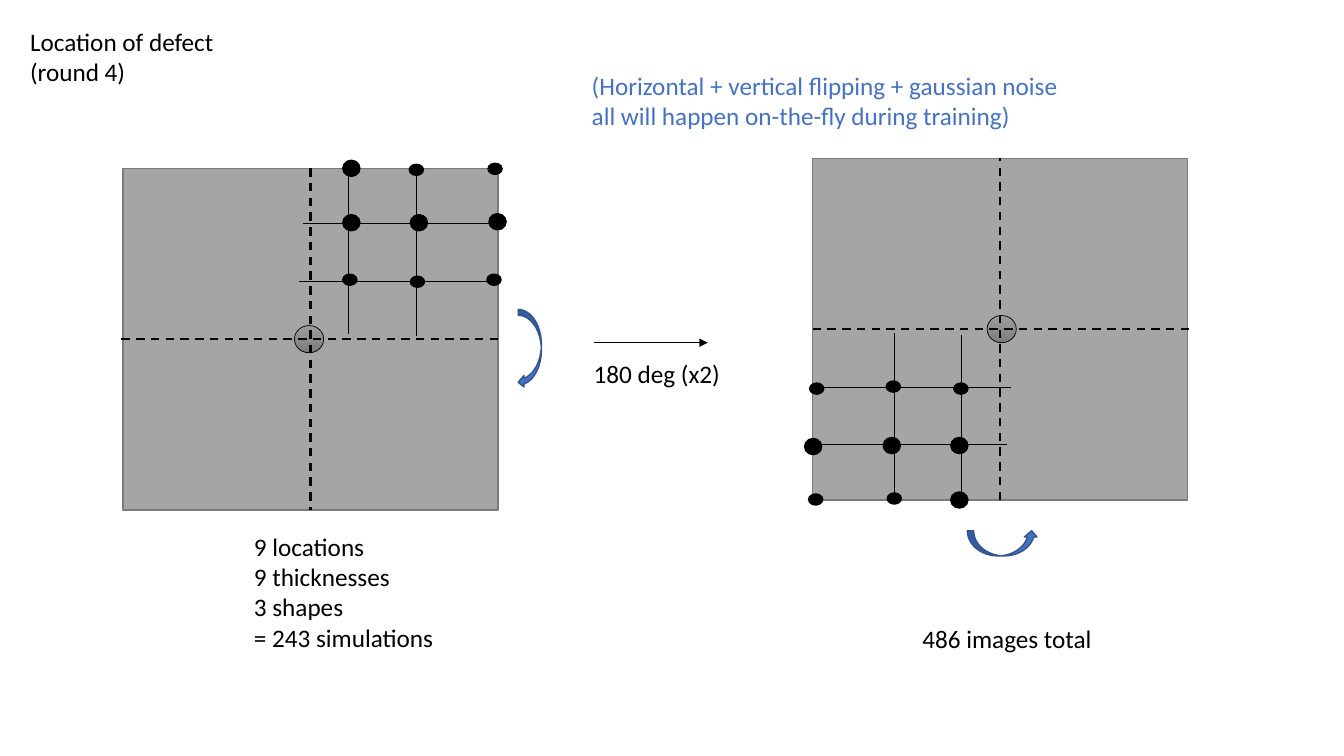
from lxml.etree import SubElement
from pptx import Presentation
from pptx.dml.color import RGBColor
from pptx.enum.dml import MSO_LINE
from pptx.enum.shapes import MSO_CONNECTOR, MSO_SHAPE
from pptx.enum.text import MSO_AUTO_SIZE
from pptx.oxml.ns import qn
from pptx.util import Inches, Pt

BLACK, BLUE = "000000", "4472C4"
WIDE, HIGH = 3.72, 3.39  # plate size

# Offsets from the plate's top left corner
GRID = [
    (1.79, 0.55, 3.68, 0.55), (1.75, 1.12, 3.64, 1.12),
    (2.24, -0.05, 2.24, 1.64), (2.91, -0.03, 2.91, 1.66),
]
LARGE = [(2.18, -0.08), (3.63, 0.45), (2.85, 0.46), (2.18, 0.46)]
SMALL = [(3.61, 1.05), (2.84, -0.04), (2.18, 1.05), (2.85, 1.07), (3.62, -0.05)]


def color(code):
    return RGBColor.from_string(code)


def add_form(shapes, kind, box, fill, edge, width=1):
    form = shapes.add_shape(kind, *map(Inches, box))
    form.shadow.inherit = False
    form.fill.solid()
    form.fill.fore_color.rgb = color(fill)
    form.line.color.rgb = color(edge)
    form.line.width = Pt(width)
    return form


def add_line(shapes, ends, width=0.5, dash=None):
    line = shapes.add_connector(MSO_CONNECTOR.STRAIGHT, *map(Inches, ends))
    line.line.color.rgb = color(BLACK)
    line.line.width = Pt(width)
    if dash:
        line.line.dash_style = dash
    SubElement(line._element.spPr, qn("a:effectLst"))
    return line


def add_text(slide, box, lines, ink=BLACK):
    text = slide.shapes.add_textbox(*map(Inches, box))
    frame = text.text_frame
    frame.word_wrap = True
    frame.auto_size = MSO_AUTO_SIZE.SHAPE_TO_FIT_TEXT
    frame.text = "\n".join(lines)
    for para in frame.paragraphs:
        para.font.name = "Calibri"
        para.font.size = Pt(18)
        para.font.color.rgb = color(ink)


def add_plate(slide, left, top, turned=False):
    group = slide.shapes.add_group_shape()
    shapes = group.shapes

    # Plate and its round centre
    plate = add_form(shapes, MSO_SHAPE.RECTANGLE, (left, top, WIDE, HIGH),
                     "A5A5A5", "7A7A7A")
    ball = add_form(shapes, MSO_SHAPE.OVAL, (left + 1.7, top + 1.56, 0.29, 0.27),
                    "909090", BLACK, 0.5)
    ball.fill.gradient()
    ball.fill.gradient_angle = 270
    for stop, code in zip(ball.fill.gradient_stops, ("9D9D9D", "7C7C7C")):
        stop.color.rgb = color(code)

    # Dashed axes
    mid_x, mid_y = left + WIDE / 2, top + HIGH / 2
    axis = add_line(shapes, (mid_x, top, mid_x, top + HIGH), 1.5, MSO_LINE.DASH)
    axis.begin_connect(plate, 0)
    axis.end_connect(plate, 2)
    axis = add_line(shapes, (left + WIDE, mid_y, left - 0.06, mid_y),
                    1.5, MSO_LINE.DASH)
    axis.begin_connect(plate, 3)

    # Grid and defect spots
    for x1, y1, x2, y2 in GRID:
        add_line(shapes, (left + x1, top + y1, left + x2, top + y2))
    for spots, size in ((LARGE, (0.17, 0.16)), (SMALL, (0.14, 0.11))):
        for x, y in spots:
            add_form(shapes, MSO_SHAPE.OVAL, (left + x, top + y, *size), BLACK, BLACK)

    # Half turn about the middle of the plate
    if turned:
        group.left = Inches(2 * left + WIDE) - group.left - group.width
        group.top = Inches(2 * top + HIGH) - group.top - group.height
        group.rotation = 180


def add_notes(slide):
    add_text(slide, (0.2, 0.21, 2.43, 0.71), ["Location of defect (round 4)"])
    add_text(slide, (2.42, 5.22, 2.07, 1.31),
             ["9 locations", "9 thicknesses", "3 shapes", "= 243 simulations"])
    add_text(slide, (5.79, 3.51, 1.5, 0.4), ["180 deg (x2)"])
    add_text(slide, (9.05, 6.13, 2.07, 0.4), ["486 images total"])
    add_text(slide, (5.77, 0.65, 4.92, 0.71),
             ["(Horizontal + vertical flipping + gaussian noise",
              "all will happen on-the-fly during training)"], BLUE)


def add_turns(slide):
    # Curved arrows
    add_form(slide.shapes, MSO_SHAPE.CURVED_LEFT_ARROW,
             (5.14, 3.07, 0.23, 0.78), BLUE, "325491")
    curve = add_form(slide.shapes, MSO_SHAPE.CURVED_RIGHT_ARROW,
                     (9.82, 5.04, 0.25, 0.7), BLUE, "325491")
    curve.rotation = 270

    # Straight arrow
    arrow = add_line(slide.shapes, (5.89, 3.4, 7.02, 3.4))
    SubElement(arrow.line._get_or_add_ln(), qn("a:tailEnd"), type="triangle")


def main():
    deck = Presentation()
    deck.slide_width, deck.slide_height = Inches(13.33), Inches(7.5)
    slide = deck.slides.add_slide(deck.slide_layouts[6])
    add_notes(slide)
    add_turns(slide)
    add_plate(slide, 1.22, 1.67)
    add_plate(slide, 8.06, 1.57, turned=True)
    deck.save("out.pptx")


if __name__ == "__main__":
    main()
